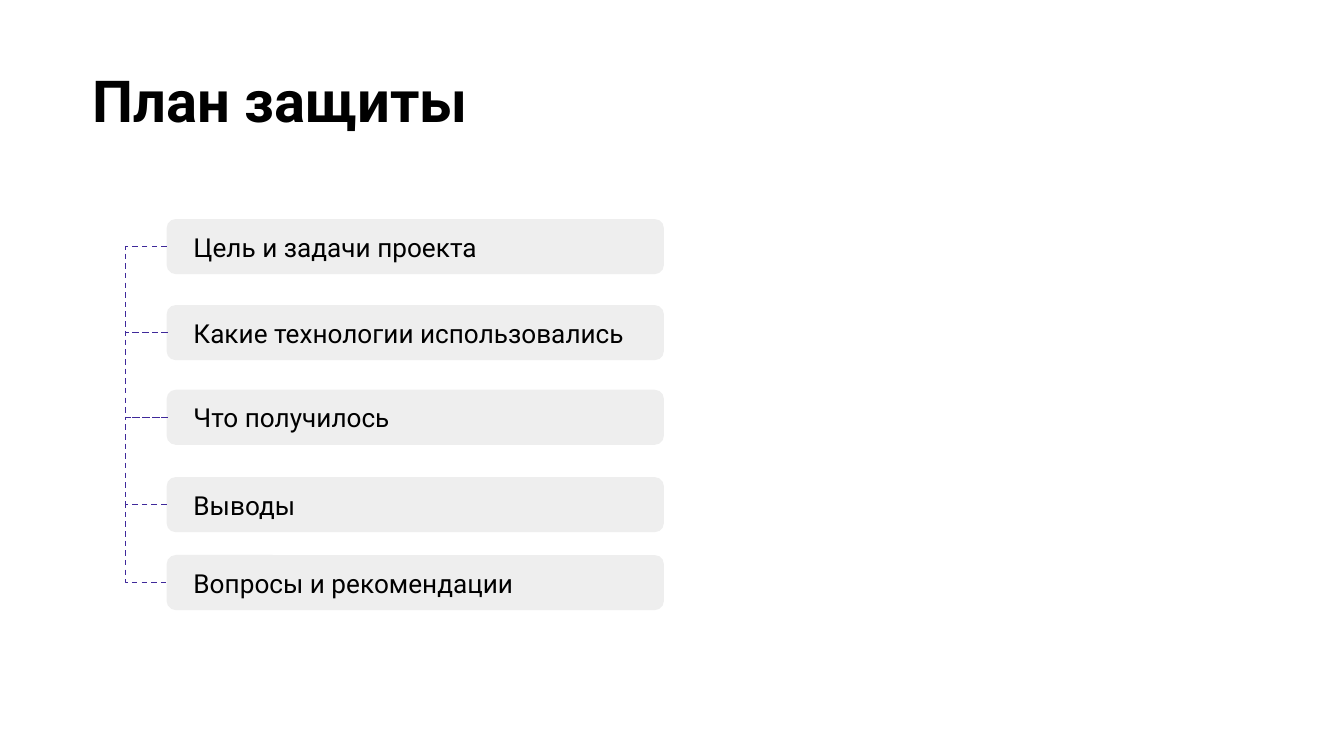
from lxml import etree
from pptx import Presentation
from pptx.dml.color import RGBColor
from pptx.enum.dml import MSO_LINE
from pptx.enum.shapes import MSO_CONNECTOR, MSO_SHAPE
from pptx.enum.text import MSO_ANCHOR, PP_ALIGN
from pptx.oxml.ns import qn
from pptx.util import Inches, Pt

ROUNDED = MSO_SHAPE.ROUNDED_RECTANGLE
ELBOW = MSO_CONNECTOR.ELBOW
DASH = MSO_LINE.DASH
TOP, MIDDLE = MSO_ANCHOR.TOP, MSO_ANCHOR.MIDDLE
LEFT = PP_ALIGN.LEFT

COLORS = {"background": "FFFFFF", "text": "000000", "step": "EEEEEE", "link": "3F299A"}
FONT = "Roboto"

STEPS = [
    ("Цель и задачи проекта", 1.63),
    ("Какие технологии использовались", 2.27),
    ("Что получилось", 2.9),
    ("Выводы", 3.55),
    ("Вопросы и рекомендации", 4.13),
]
STEP_LEFT, STEP_WIDTH, STEP_HEIGHT = 1.24, 3.7, 0.41
LINK_WIDTH, LINK_REACH = 0.01, 0.31


def write(shape, text, size, side_inset, anchor, bold=False):
    frame = shape.text_frame
    frame.word_wrap = True
    frame.vertical_anchor = anchor
    frame.margin_left = frame.margin_right = Inches(side_inset)
    frame.margin_top = frame.margin_bottom = Inches(0.1)
    paragraph = frame.paragraphs[0]
    paragraph.alignment = LEFT
    run = paragraph.add_run()
    run.text = text
    run.font.name = FONT
    run.font.size = Pt(size)
    run.font.bold = bold
    run.font.color.rgb = RGBColor.from_string(COLORS["text"])


# Widescreen 16:9 slide
prs = Presentation()
prs.slide_width = Inches(10)
prs.slide_height = Inches(10 * 9 / 16)
slide = prs.slides.add_slide(prs.slide_layouts[6])
slide.background.fill.solid()
slide.background.fill.fore_color.rgb = RGBColor.from_string(COLORS["background"])

# Title
title = slide.shapes.add_textbox(Inches(0.59), Inches(0.38), Inches(9.32), Inches(0.72))
write(title, "План защиты", 31, 0.1, TOP, bold=True)

# Steps of the plan
for label, top in STEPS:
    step = slide.shapes.add_shape(
        ROUNDED, Inches(STEP_LEFT), Inches(top), Inches(STEP_WIDTH), Inches(STEP_HEIGHT)
    )
    step.adjustments[0] = 0.167
    step.shadow.inherit = False
    step.fill.solid()
    step.fill.fore_color.rgb = RGBColor.from_string(COLORS["step"])
    step.line.fill.background()
    write(step, label, 14, 0.18, MIDDLE)

# Dashed brackets joining each step to the next
centers = [top + STEP_HEIGHT / 2 for _, top in STEPS]
for start, end in zip(centers, centers[1:]):
    link = slide.shapes.add_connector(
        ELBOW, Inches(STEP_LEFT), Inches(start), Inches(STEP_LEFT + LINK_WIDTH), Inches(end)
    )
    link.line.color.rgb = RGBColor.from_string(COLORS["link"])
    link.line.width = Pt(0.75)
    link.line.dash_style = DASH
    properties = link._element.spPr
    etree.SubElement(properties, qn("a:effectLst"))
    # The bend lies to the left of both ends
    guides = properties.find(qn("a:prstGeom")).find(qn("a:avLst"))
    bend = round(-LINK_REACH / LINK_WIDTH * 100000)
    etree.SubElement(guides, qn("a:gd"), name="adj1", fmla=f"val {bend}")

prs.save("out.pptx")
